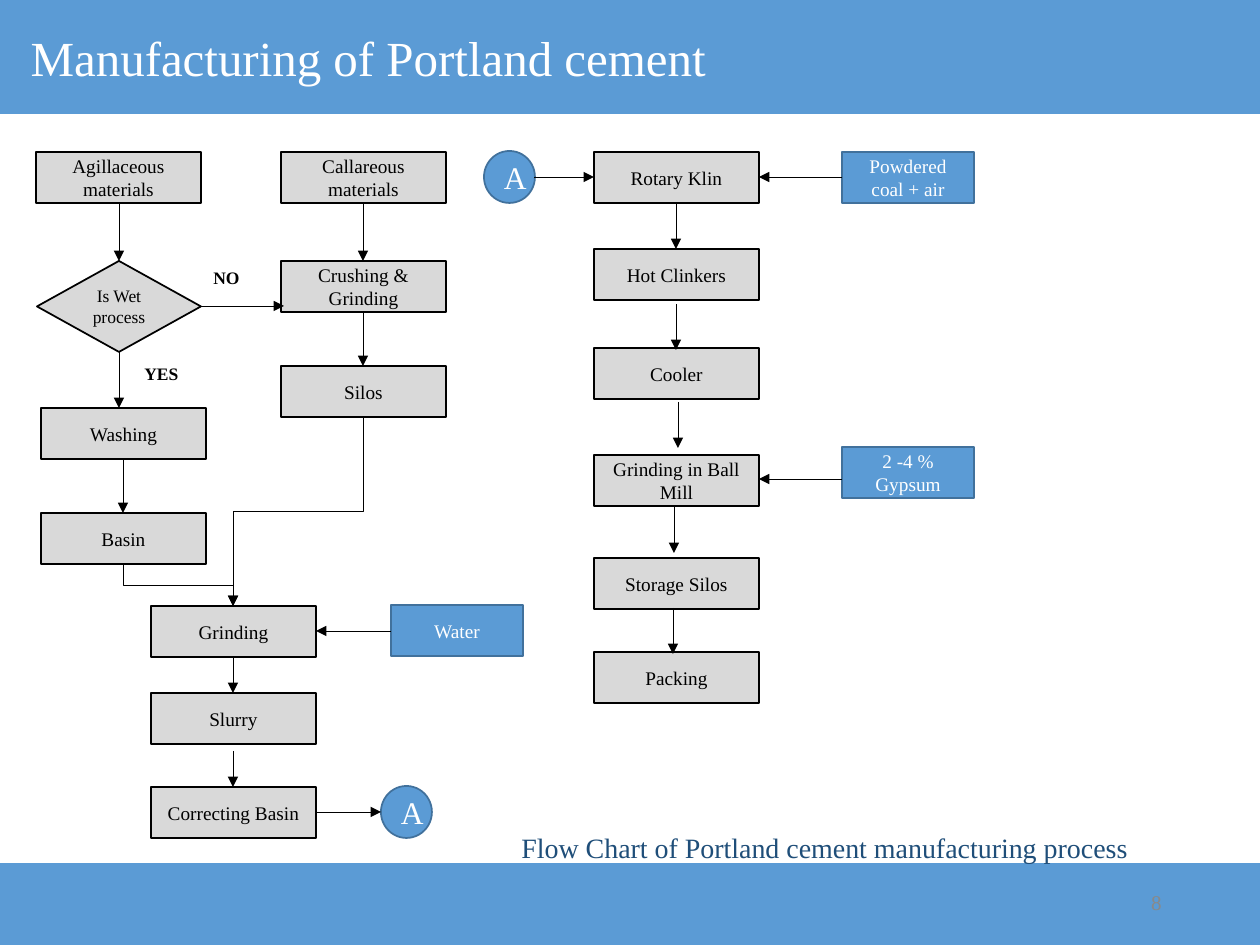
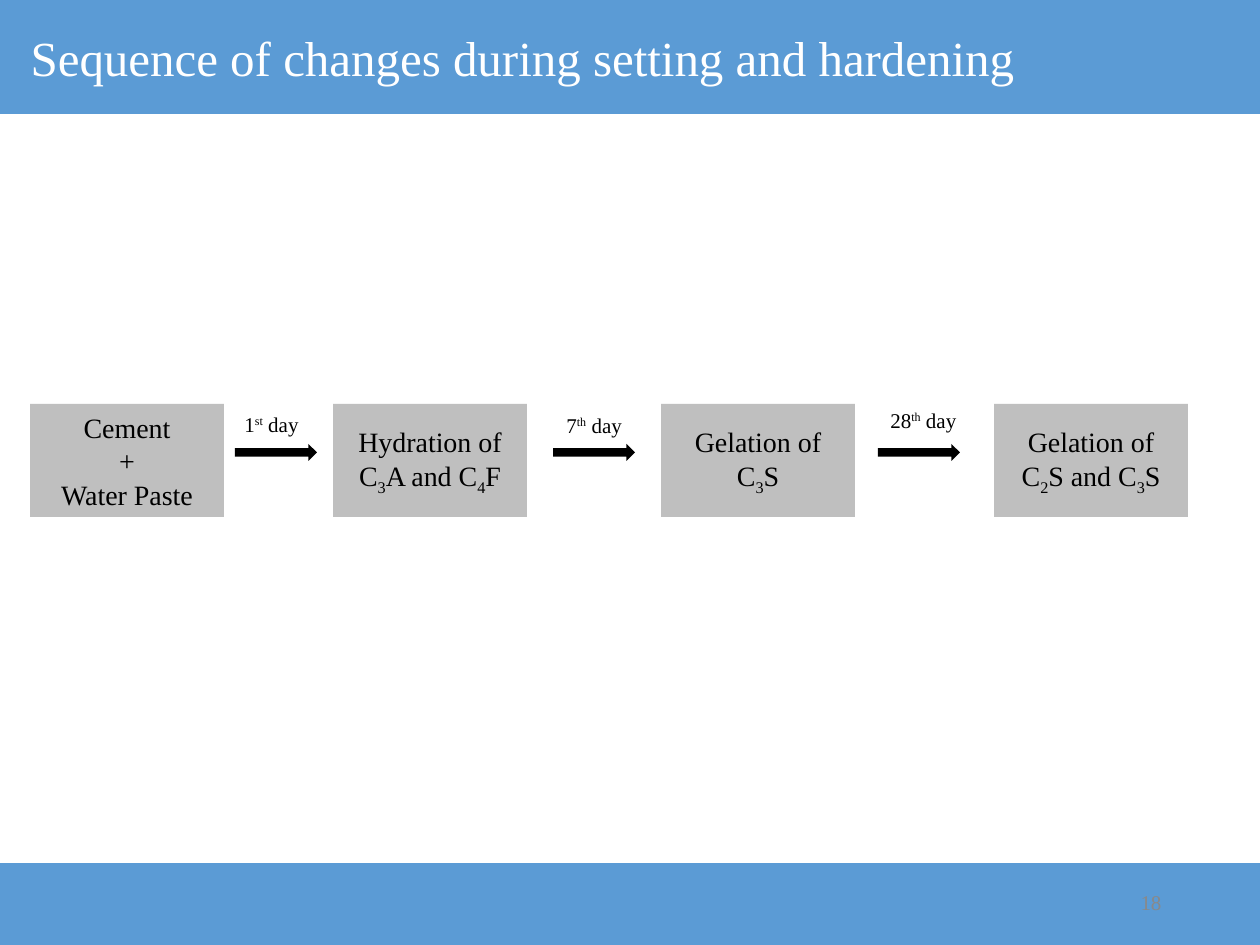
import pptx
import pptx.util
import pptx.dml.color
import pptx.enum.shapes
import pptx.enum.text
import pptx.oxml.ns
import lxml.etree

RGBColor = pptx.dml.color.RGBColor
BLUE = RGBColor(0x5B, 0x9B, 0xD5)
BLUE_EDGE = RGBColor(0x41, 0x71, 0x9C)
NAVY = RGBColor(0x1F, 0x4E, 0x79)
LIGHT_GRAY = RGBColor(0xD9, 0xD9, 0xD9)
MID_GRAY = RGBColor(0xBF, 0xBF, 0xBF)
NUMBER_GRAY = RGBColor(0x89, 0x89, 0x89)
BLACK = RGBColor(0, 0, 0)
WHITE = RGBColor(0xFF, 0xFF, 0xFF)
FONT = "Times New Roman"
PX = 914400 / 126
SHAPE = pptx.enum.shapes.MSO_SHAPE
CONNECTOR = pptx.enum.shapes.MSO_CONNECTOR
ALIGN = pptx.enum.text.PP_ALIGN
ANCHOR = pptx.enum.text.MSO_ANCHOR
SUBSCRIPT, SUPERSCRIPT = -25000, 30000


def write_text(shape, paragraphs, size, color, align=ALIGN.LEFT, anchor=ANCHOR.TOP, bold=False):
    frame = shape.text_frame
    frame.word_wrap = True
    frame.auto_size = pptx.enum.text.MSO_AUTO_SIZE.NONE
    frame.vertical_anchor = anchor
    for index, runs in enumerate(paragraphs):
        paragraph = frame.add_paragraph() if index else frame.paragraphs[0]
        paragraph.alignment = align
        for text, baseline in runs:
            run = paragraph.add_run()
            run.text = text
            run.font.name = FONT
            run.font.size = pptx.util.Pt(size)
            run.font.bold = bold
            run.font.color.rgb = color
            if baseline:
                run.font._element.set("baseline", str(baseline))


def add_box(slide, kind, box, fill, edge=None):
    shape = slide.shapes.add_shape(kind, *[round(value * PX) for value in box])
    shape.shadow.inherit = False
    shape.fill.solid()
    shape.fill.fore_color.rgb = fill
    if edge is None:
        shape.line.fill.background()
    else:
        shape.line.color.rgb = edge
        shape.line.width = pptx.util.Pt(1)
    return shape


presentation = pptx.Presentation()
presentation.slide_width = round(1260 * PX)
presentation.slide_height = round(945 * PX)

slides = []
for title_text, title_width, number in [
    ("Manufacturing of Portland cement", 925, "8"),
    ("Sequence of changes during setting and hardening", 1216, "18"),
]:
    slide = presentation.slides.add_slide(presentation.slide_layouts[5])
    title = slide.shapes.title
    for top, height in [(0, 114), (863, 82)]:
        band = add_box(slide, SHAPE.RECTANGLE, (0, top, 1260, height), BLUE)
        title.element.addprevious(band.element)
    title.left, title.top = round(18 * PX), round(21 * PX)
    title.width, title.height = round(title_width * PX), round(72 * PX)
    write_text(title, [[(title_text, 0)]], 28, WHITE)
    number_box = slide.shapes.add_textbox(*[round(value * PX) for value in (1048, 883, 126, 38)])
    write_text(number_box, [[(number, 0)]], 12, NUMBER_GRAY, ALIGN.RIGHT, ANCHOR.MIDDLE)
    slides.append(slide)
flow_slide, sequence_slide = slides

steps = [
    ("Agillaceous materials", 36, 152),
    ("Callareous materials", 281, 152),
    ("Crushing & Grinding", 281, 261),
    ("Silos", 281, 366),
    ("Washing", 41, 408),
    ("Basin", 41, 513),
    ("Grinding", 151, 606),
    ("Slurry", 151, 693),
    ("Correcting Basin", 151, 787),
    ("Rotary Klin", 594, 152),
    ("Hot Clinkers", 594, 249),
    ("Cooler", 594, 348),
    ("Grinding in Ball Mill", 594, 455),
    ("Storage Silos", 594, 558),
    ("Packing", 594, 652),
]
for text, left, top in steps:
    step = add_box(flow_slide, SHAPE.RECTANGLE, (left, top, 165, 51), LIGHT_GRAY, BLACK)
    write_text(step, [[(text, 0)]], 11, BLACK, ALIGN.CENTER, ANCHOR.MIDDLE)

decision = add_box(flow_slide, SHAPE.FLOWCHART_DECISION, (37, 261, 164, 91), LIGHT_GRAY, BLACK)
write_text(decision, [[("Is Wet process", 0)]], 10, BLACK, ALIGN.CENTER, ANCHOR.MIDDLE)

for text, left, top in [("Water", 391, 605), ("Powdered coal + air", 842, 152), ("2 -4 % Gypsum", 842, 447)]:
    material = add_box(flow_slide, SHAPE.RECTANGLE, (left, top, 132, 51), BLUE, BLUE_EDGE)
    write_text(material, [[(text, 0)]], 11, WHITE, ALIGN.CENTER, ANCHOR.MIDDLE)

for left, top in [(381, 786), (484, 151)]:
    link = add_box(flow_slide, SHAPE.OVAL, (left, top, 51, 52), BLUE, BLUE_EDGE)
    write_text(link, [[("A", 0)]], 18, WHITE, ALIGN.CENTER, ANCHOR.MIDDLE)

arrows = [
    (119, 203, 119, 261),
    (201, 306, 284, 306),
    (363, 203, 363, 261),
    (119, 352, 119, 408),
    (123, 459, 123, 513),
    (363, 312, 363, 366),
    (233, 657, 233, 693),
    (233, 751, 233, 787),
    (316, 812, 381, 812),
    (391, 631, 316, 631),
    (842, 177, 759, 177),
    (842, 479, 759, 479),
    (534, 177, 594, 177),
    (676, 203, 676, 249),
    (676, 304, 676, 350),
    (678, 402, 678, 448),
    (674, 507, 674, 553),
    (673, 608, 673, 654),
]
connectors = [
    flow_slide.shapes.add_connector(CONNECTOR.STRAIGHT, *[round(value * PX) for value in ends])
    for ends in arrows
]
for start_x, start_y, end_x, end_y in [(123, 564, 233, 606), (363, 417, 233, 606)]:
    center_x, center_y = (start_x + end_x) / 2, (start_y + end_y) / 2
    half_width, half_height = (end_y - start_y) / 2, abs(end_x - start_x) / 2
    turn = 90 if end_x < start_x else 270
    if turn == 270:
        half_width = -half_width
    ends = (center_x - half_width, center_y - half_height, center_x + half_width, center_y + half_height)
    elbow = flow_slide.shapes.add_connector(CONNECTOR.ELBOW, *[round(value * PX) for value in ends])
    elbow.element.spPr.find(pptx.oxml.ns.qn("a:xfrm")).set("rot", str(turn * 60000))
    connectors.append(elbow)
for connector in connectors:
    connector.line.color.rgb = BLACK
    connector.line.width = pptx.util.Pt(0.5)
    line = connector.line._get_or_add_ln()
    lxml.etree.SubElement(line, pptx.oxml.ns.qn("a:tailEnd"), type="triangle")
    lxml.etree.SubElement(connector.element.spPr, pptx.oxml.ns.qn("a:effectLst"))

for text, box, size, color, bold in [
    ("NO", (201, 261, 64, 34), 10, BLACK, True),
    ("YES", (132, 357, 64, 34), 10, BLACK, True),
    ("Flow Chart of Portland cement manufacturing process", (509, 824, 721, 47), 16, NAVY, False),
]:
    label = flow_slide.shapes.add_textbox(*[round(value * PX) for value in box])
    write_text(label, [[(text, 0)]], size, color, bold=bold)

stages = [
    (30, [[("Cement", 0)], [("+", 0)], [("Water Paste", 0)]]),
    (333, [[("Hydration of C", 0), ("3", SUBSCRIPT), ("A and C", 0), ("4", SUBSCRIPT), ("F", 0)]]),
    (661, [[("Gelation of C", 0), ("3", SUBSCRIPT), ("S", 0)]]),
    (994, [[("Gelation of C", 0), ("2", SUBSCRIPT), ("S and C", 0), ("3", SUBSCRIPT), ("S", 0)]]),
]
for left, paragraphs in stages:
    stage = add_box(sequence_slide, SHAPE.RECTANGLE, (left, 404, 194, 113), MID_GRAY)
    write_text(stage, paragraphs, 16, BLACK, ALIGN.CENTER, ANCHOR.MIDDLE)

for arrow_left, label_left, label_top, day, suffix in [
    (235, 232, 405, "1", "st"),
    (553, 554, 406, "7", "th"),
    (878, 878, 401, "28", "th"),
]:
    add_box(sequence_slide, SHAPE.RIGHT_ARROW, (arrow_left, 444, 82, 17), BLACK)
    label = sequence_slide.shapes.add_textbox(*[round(value * PX) for value in (label_left, label_top, 123, 38)])
    write_text(label, [[(day, 0), (suffix, SUPERSCRIPT), (" day", 0)]], 12, BLACK)

presentation.save("out.pptx")
